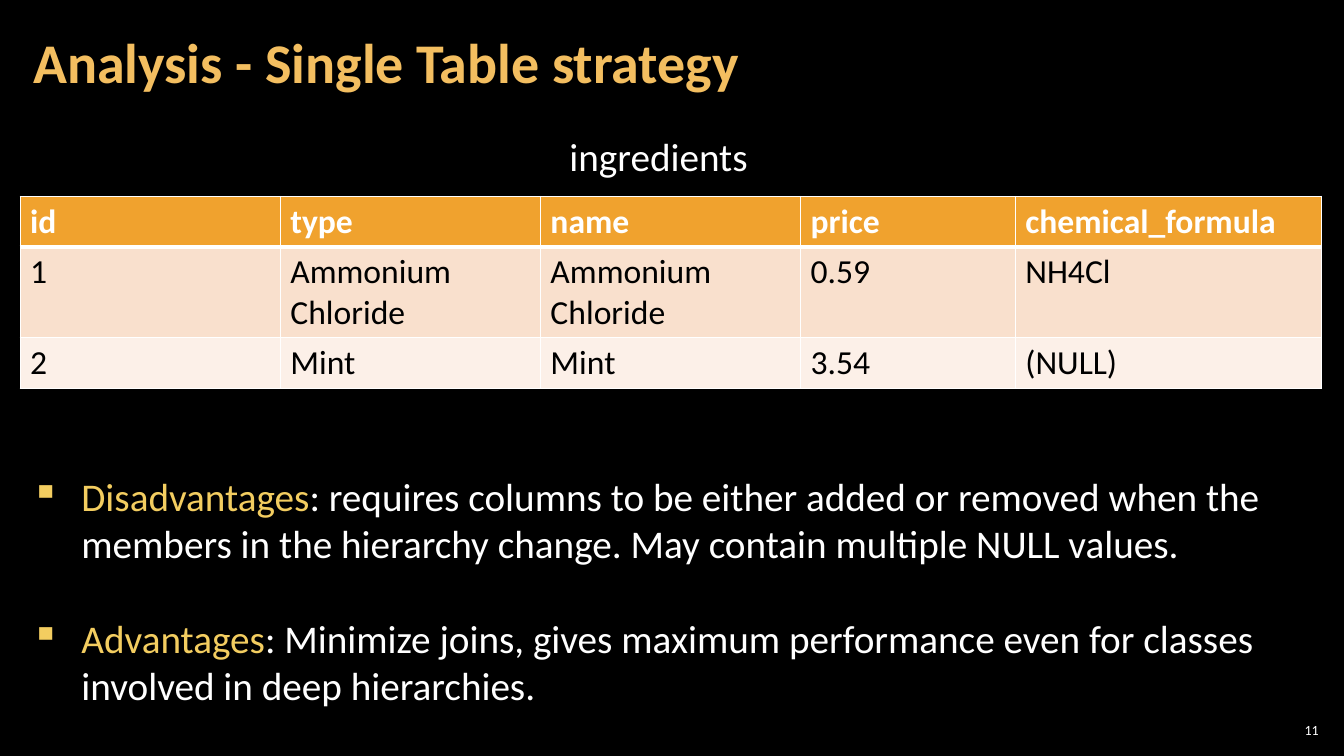
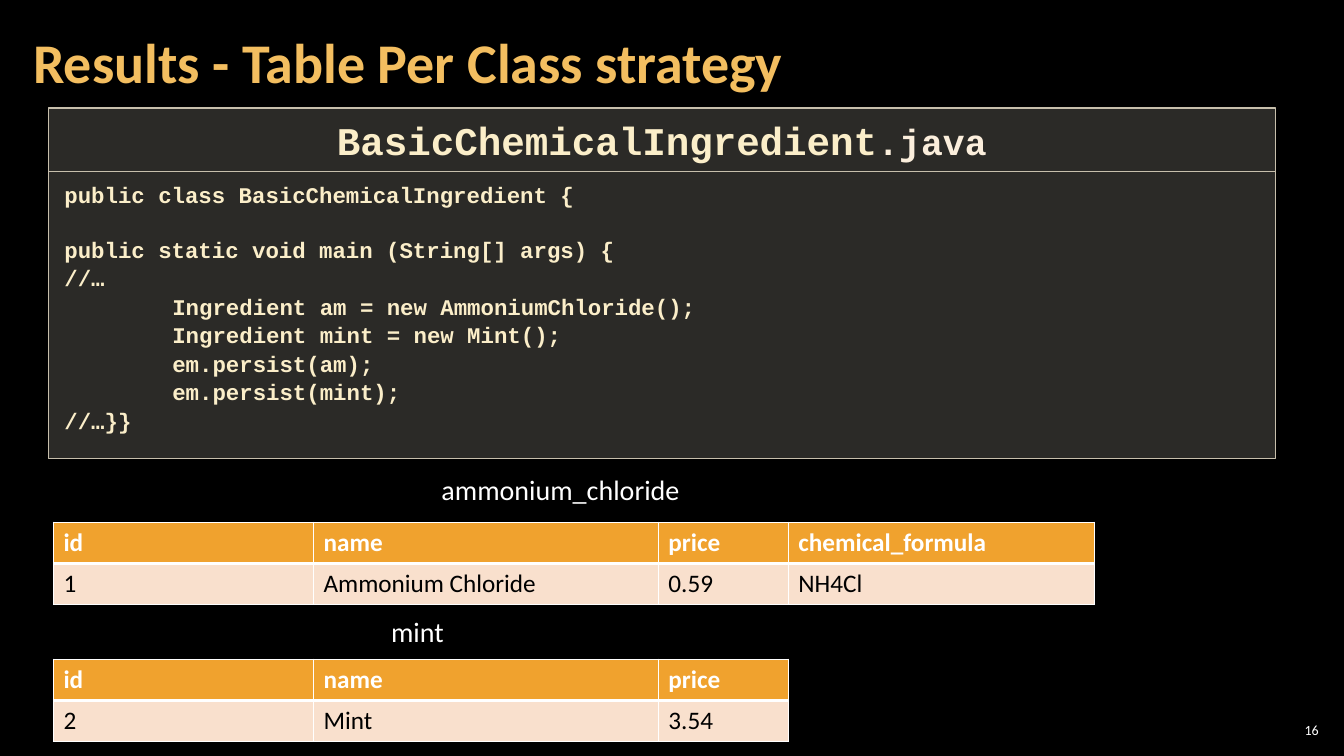
from lxml.etree import SubElement
from pptx import Presentation
from pptx.dml.color import RGBColor
from pptx.enum.shapes import MSO_SHAPE
from pptx.enum.text import MSO_ANCHOR, PP_ALIGN
from pptx.oxml.ns import qn
from pptx.util import Inches, Pt

BLACK, WHITE = "000000", "FFFFFF"
TITLE, KEYWORD = "F3BE60", "F3CD60"
HEADER_FILL, ROW_FILLS = "F0A22E", ("F9E0CD", "FCF0E8")
PANEL_FILL, PANEL_LINE = "D9D5C7", "C7BFAC"
CODE, CODE_SUFFIX = "FBEEC9", "FBEEDC"
BODY_FONT, CODE_FONT = "Calibri", "Courier New"


def rgb(value):
    return RGBColor.from_string(value)


def write(paragraph, text, *, size, color=WHITE, font=BODY_FONT, bold=False):
    run = paragraph.add_run()
    run.text = text
    run.font.size = Pt(size)
    run.font.name = font
    run.font.bold = bold
    run.font.color.rgb = rgb(color)


def next_paragraph(frame):
    """Return the empty first paragraph, or a new one after it is used."""
    first = frame.paragraphs[0]
    return frame.add_paragraph() if first.runs else first


def set_insets(frame, horizontal, vertical):
    frame.margin_left = frame.margin_right = Inches(horizontal)
    frame.margin_top = frame.margin_bottom = Inches(vertical)


def add_frame(slide, box, insets=(0.1, 0.05), anchor=MSO_ANCHOR.TOP):
    frame = slide.shapes.add_textbox(*map(Inches, box)).text_frame
    frame.word_wrap = True
    frame.vertical_anchor = anchor
    set_insets(frame, *insets)
    return frame


def add_label(slide, box, text, size):
    write(add_frame(slide, box).paragraphs[0], text, size=size)


def add_base_slide(prs, title, number):
    """Add a slide with the shared title and page number."""
    slide = prs.slides.add_slide(prs.slide_layouts[6])
    heading = add_frame(slide, (0.21, 0.04, 10.47, 1.21), (0.12, 0.04),
                        MSO_ANCHOR.MIDDLE).paragraphs[0]
    heading.line_spacing = 0.9
    write(heading, title, size=40, color=TITLE, bold=True)
    page = add_frame(slide, (12.65, 7.14, 0.47, 0.21), (0.04, 0.04),
                     MSO_ANCHOR.MIDDLE).paragraphs[0]
    page.alignment = PP_ALIGN.RIGHT
    write(page, number, size=10)
    return slide


def set_borders(cell, **widths):
    properties = cell._tc.get_or_add_tcPr()
    for side in "LRTB":
        line = SubElement(properties, qn(f"a:ln{side}"),
                          w=str(Pt(widths.get(side, 1))))
        fill = SubElement(line, qn("a:solidFill"))
        SubElement(fill, qn("a:srgbClr"), val=WHITE)


def add_data_table(slide, left, top, widths, heights, rows, size):
    table = slide.shapes.add_table(
        len(rows), len(widths), Inches(left), Inches(top),
        Inches(sum(widths)), Inches(sum(heights))).table
    for column, width in zip(table.columns, widths):
        column.width = Inches(width)
    for r, (values, height) in enumerate(zip(rows, heights)):
        table.rows[r].height = Inches(height)
        is_header = r == 0
        fill = HEADER_FILL if is_header else ROW_FILLS[(r - 1) % 2]
        for c, value in enumerate(values):
            cell = table.cell(r, c)
            set_borders(cell, T=3 if r == 1 else 1, B=3 if is_header else 1)
            cell.fill.solid()
            cell.fill.fore_color.rgb = rgb(fill)
            write(cell.text_frame.paragraphs[0], value, size=size,
                  color=WHITE if is_header else BLACK, bold=is_header)


def add_bullets(slide, box, items, size=28):
    frame = add_frame(slide, box)
    for i, (keyword, explanation) in enumerate(items):
        paragraph = next_paragraph(frame)
        if i:
            paragraph.space_before = Pt(34)
        properties = paragraph._p.get_or_add_pPr()
        properties.set("marL", str(Inches(0.5)))
        properties.set("indent", str(-Inches(0.5)))
        bullet_color = SubElement(properties, qn("a:buClr"))
        SubElement(bullet_color, qn("a:srgbClr"), val=KEYWORD)
        SubElement(properties, qn("a:buChar"), char="▪")
        write(paragraph, keyword, size=size, color=KEYWORD)
        write(paragraph, explanation, size=size)


def add_panel(slide, box):
    """Add a translucent outlined box and return its text frame."""
    panel = slide.shapes.add_shape(MSO_SHAPE.RECTANGLE, *map(Inches, box))
    panel.shadow.inherit = False
    panel.fill.solid()
    panel.fill.fore_color.rgb = rgb(PANEL_FILL)
    color = panel.fill._xPr.find(f"{qn('a:solidFill')}/{qn('a:srgbClr')}")
    SubElement(color, qn("a:alpha"), val="20000")
    panel.line.color.rgb = rgb(PANEL_LINE)
    panel.line.width = Pt(1)
    frame = panel.text_frame
    frame.word_wrap = True
    frame.vertical_anchor = MSO_ANCHOR.TOP
    set_insets(frame, 0.16, 0.08)
    return frame


def add_code_listing(slide, box, name, suffix, blocks):
    """Place a file name bar above code; blocks hold (indent level, line)."""
    left, top, width, height = box
    bar_height = 0.63
    code = add_panel(slide, (left, top + bar_height, width,
                             height - bar_height))
    for b, block in enumerate(blocks):
        for i, (level, line) in enumerate(block):
            paragraph = next_paragraph(code)
            paragraph.alignment = PP_ALIGN.LEFT
            paragraph.line_spacing = 1.06
            if b and i == 0:
                paragraph.space_before = Pt(19)
            paragraph._p.get_or_add_pPr().set("marL",
                                              str(Inches(1.07 * level)))
            write(paragraph, line, size=16, color=CODE, font=CODE_FONT,
                  bold=True)
    file_name = add_panel(slide, (left, top, width, bar_height)).paragraphs[0]
    file_name.alignment = PP_ALIGN.CENTER
    write(file_name, name, size=28, color=CODE, font=CODE_FONT, bold=True)
    write(file_name, suffix, size=26, color=CODE_SUFFIX, font=CODE_FONT,
          bold=True)


def build_analysis(prs):
    slide = add_base_slide(prs, "Analysis - Single Table strategy", "11")
    add_label(slide, (5.55, 1.26, 2, 0.57), "ingredients", 28)
    add_data_table(
        slide, 0.2, 1.95, (2.58, 2.58, 2.58, 2.13, 3.04), (0.5, 0.9, 0.5),
        [("id", "type", "name", "price", "chemical_formula"),
         ("1", "Ammonium Chloride", "Ammonium Chloride", "0.59", "NH4Cl"),
         ("2", "Mint", "Mint", "3.54", "(NULL)")], 24)
    add_bullets(slide, (0.21, 4.64, 12.9, 2.46), [
        ("Disadvantages", ": requires columns to be either added or removed "
         "when the members in the hierarchy change. May contain multiple "
         "NULL values."),
        ("Advantages", ": Minimize joins, gives maximum performance even for "
         "classes involved in deep hierarchies.")])


def build_results(prs):
    slide = add_base_slide(prs, "Results - Table Per Class strategy", "16")
    add_code_listing(
        slide, (0.48, 1.07, 12.17, 3.48), "BasicChemicalIngredient", ".java",
        [[(0, "public class BasicChemicalIngredient {")],
         [(0, "public static void main (String[] args) {"),
          (0, "//…"),
          (1, "Ingredient am = new AmmoniumChloride();"),
          (1, "Ingredient mint = new Mint();"),
          (1, "em.persist(am);"),
          (1, "em.persist(mint);"),
          (0, "//…}}")]])
    widths, heights = (2.58, 3.42, 1.29, 3.04), (0.41, 0.41)
    add_label(slide, (4.28, 4.64, 2.82, 0.44), "ammonium_chloride", 20)
    add_data_table(slide, 0.53, 5.18, widths, heights,
                   [("id", "name", "price", "chemical_formula"),
                    ("1", "Ammonium Chloride", "0.59", "NH4Cl")], 18)
    add_label(slide, (3.78, 6.05, 0.79, 0.44), "mint", 20)
    add_data_table(slide, 0.53, 6.54, widths[:3], heights,
                   [("id", "name", "price"), ("2", "Mint", "3.54")], 18)


def main():
    prs = Presentation()
    prs.slide_width, prs.slide_height = Inches(13.33), Inches(7.5)
    background = prs.slide_master.background.fill
    background.solid()
    background.fore_color.rgb = rgb(BLACK)
    build_analysis(prs)
    build_results(prs)
    prs.save("out.pptx")


if __name__ == "__main__":
    main()
